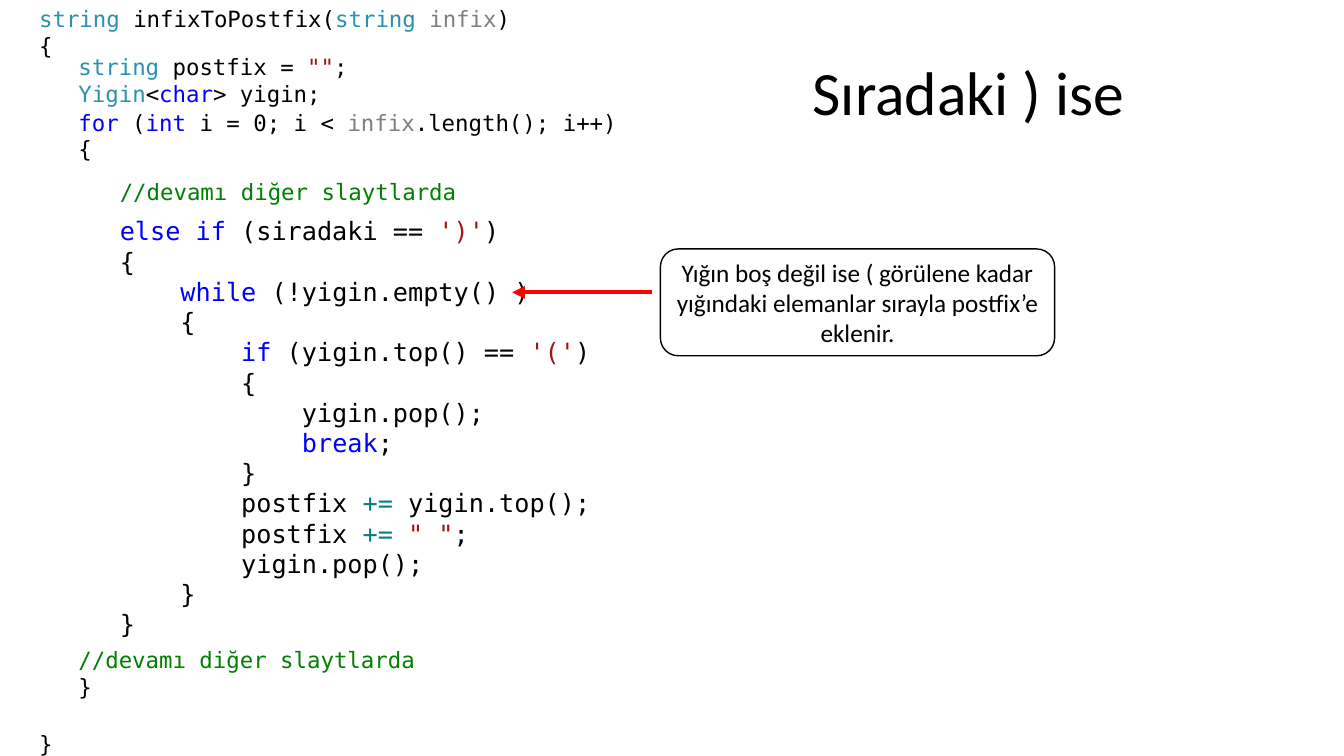
from dataclasses import dataclass

from lxml import etree
from pptx import Presentation
from pptx.dml.color import RGBColor as RGB
from pptx.enum.shapes import MSO_CONNECTOR as LINK, MSO_SHAPE as SHAPE
from pptx.enum.text import MSO_ANCHOR as ANCHOR, PP_ALIGN as ALIGN
from pptx.oxml.ns import qn
from pptx.util import Inches, Pt


@dataclass(frozen=True)
class Theme:
    black: RGB = RGB(0, 0, 0)
    white: RGB = RGB(255, 255, 255)
    red: RGB = RGB(255, 0, 0)
    type: RGB = RGB(0x2B, 0x91, 0xAF)
    param: RGB = RGB(0x80, 0x80, 0x80)
    key: RGB = RGB(0, 0, 255)
    text: RGB = RGB(0xA3, 0x15, 0x15)
    oper: RGB = RGB(0, 0x80, 0x80)
    note: RGB = RGB(0, 0x80, 0)
    body: str = "Calibri"
    mono: str = "DejaVu Sans Mono"
    title: Pt = Pt(44)
    large: Pt = Pt(18)
    small: Pt = Pt(16)


theme = Theme()
# A coloured span sits between two ~ marks and starts with its letter.
spans = {"t": theme.type, "p": theme.param, "k": theme.key,
         "s": theme.text, "o": theme.oper, "n": theme.note}


def style(font, name, size, color):
    font.name = name
    font.size = size
    font.color.rgb = color


def add_code(slide, left, top, width, height, size, code):
    """Place a code block, one paragraph a line, and colour its spans."""
    box = slide.shapes.add_textbox(Inches(left), Inches(top),
                                   Inches(width), Inches(height))
    frame = box.text_frame
    frame.word_wrap = True
    frame.text = code.replace("~", "")
    for para, line in zip(frame.paragraphs, code.split("\n")):
        para.text = ""
        for i, part in enumerate(line.split("~")):
            if not part:
                continue
            color = spans[part[0]] if i % 2 else theme.black
            run = para.add_run()
            run.text = part[1:] if i % 2 else part
            style(run.font, theme.mono, size, color)


deck = Presentation()
deck.slide_width = Inches(13.33)
deck.slide_height = Inches(7.5)
slide = deck.slides.add_slide(deck.slide_layouts[5])

# Title
title = slide.shapes.title
title.left, title.top = Inches(7.96), Inches(0.22)
title.width, title.height = Inches(5.26), Inches(1.45)
frame = title.text_frame
frame.text = "Sıradaki ) ise"
frame.word_wrap = True
frame.vertical_anchor = ANCHOR.MIDDLE
para = frame.paragraphs[0]
para.alignment = ALIGN.LEFT
para.line_spacing = 0.9
style(para.runs[0].font, theme.body, theme.title, theme.black)

# Code, indented by nesting level
outer, inner, deep = 0.29, 0.68, 1.09
branch = """~kelse if~ (siradaki == ~s')'~)
{
    ~kwhile~ (!yigin.empty() )
    {
        ~kif~ (yigin.top() == ~s'('~)
        {
            yigin.pop();
            ~kbreak~;
        }
        postfix ~o+= ~yigin.top();
        postfix ~o+= ~~s" "~;
        yigin.pop();
    }
}""".replace("~o+= ~~s", "~o+= ~~~s".replace("~~~", "~~"))
blocks = [
    (outer, 0, 6.67, 0.64, theme.small,
     "~tstring ~infixToPostfix(~tstring ~~pinfix~)\n{"),
    (inner, 0.48, 3.05, 0.64, theme.small,
     '~tstring~ postfix = ~s""~;\n~tYigin~<~kchar~> yigin;'),
    (inner, 1.03, 6.67, 0.64, theme.small,
     "~kfor~ (~kint ~i = 0; i < ~pinfix~.length(); i++)\n{"),
    (deep, 1.72, 4.3, 0.37, theme.small, "~n//devamı diğer slaytlarda~"),
    (deep, 2.09, 6.67, 4.34, theme.large, branch),
    (inner, 6.36, 6.67, 0.64, theme.small,
     "~n//devamı diğer slaytlarda~\n}"),
    (outer, 7.19, 6.67, 0.37, theme.small, "}"),
]
for block in blocks:
    add_code(slide, *block)

# Arrow to the loop
arrow = slide.shapes.add_connector(LINK.STRAIGHT, Inches(6.47), Inches(2.9),
                                   Inches(5.08), Inches(2.9))
arrow.line.color.rgb = theme.red
arrow.line.width = Pt(3)
etree.SubElement(arrow.line._get_or_add_ln(), qn("a:tailEnd"), type="triangle")
etree.SubElement(arrow._element.spPr, qn("a:effectLst"))

# Remark
remark = slide.shapes.add_shape(SHAPE.ROUNDED_RECTANGLE, Inches(6.55),
                                Inches(2.47), Inches(3.91), Inches(1.06))
remark.shadow.inherit = False
remark.fill.solid()
remark.fill.fore_color.rgb = theme.white
remark.line.color.rgb = theme.black
remark.line.width = Pt(1)
frame = remark.text_frame
frame.text = ("Yığın boş değil ise ( görülene kadar yığındaki elemanlar "
              "sırayla postfix’e eklenir.")
frame.word_wrap = True
frame.vertical_anchor = ANCHOR.MIDDLE
para = frame.paragraphs[0]
para.alignment = ALIGN.CENTER
style(para.runs[0].font, theme.body, theme.large, theme.black)

deck.save("out.pptx")
